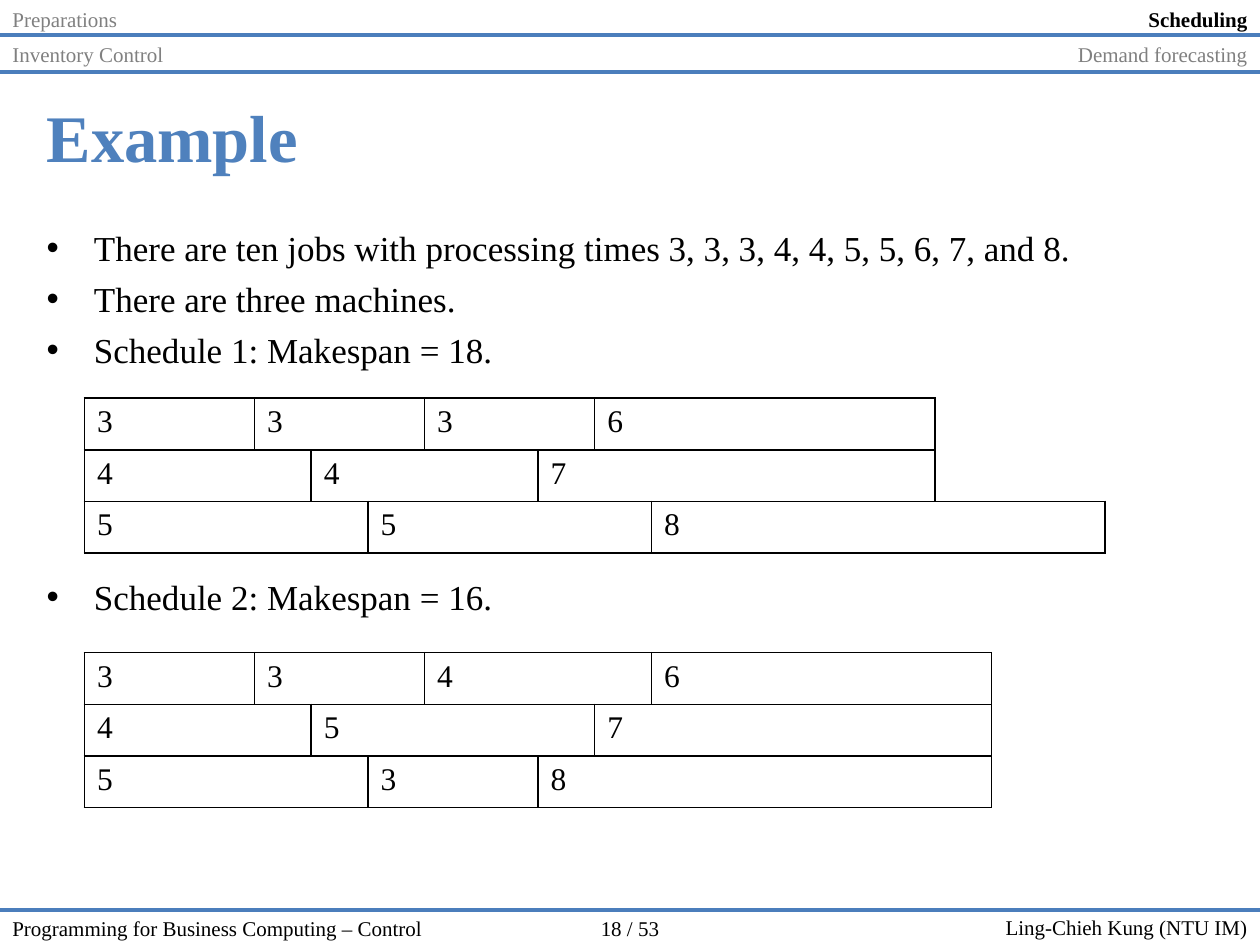
"""Build a slide that compares two machine schedules by makespan."""
from itertools import accumulate

from lxml.etree import SubElement
from pptx import Presentation
from pptx.dml.color import RGBColor
from pptx.enum.shapes import MSO_CONNECTOR
from pptx.enum.text import MSO_ANCHOR, MSO_AUTO_SIZE, PP_ALIGN
from pptx.oxml.ns import qn
from pptx.util import Inches, Pt

COLORS = {"text": "000000", "muted": "808080", "title": "4F81BD", "rule": "4B7EBC"}
NO_GRID_STYLE = "{2D5ABB26-0587-4C30-8999-92F81FD0307C}"
HORIZON = 20
UNIT = 0.45
ROW_HEIGHT = 0.41


class SlideBuilder:
    """Hold the style and the current slide, and add elements to it."""

    font = "Times New Roman"

    def __init__(self, prs):
        self.slide = prs.slides.add_slide(prs.slide_layouts[1])

    def add_text(self, p, text, color="text", size=12, bold=False, align=PP_ALIGN.LEFT):
        p.alignment = align
        r = p.add_run()
        r.text = text
        r.font.color.rgb = RGBColor.from_string(COLORS[color])
        for name, value in {"name": self.font, "size": Pt(size), "bold": bold}.items():
            setattr(r.font, name, value)

    def place(self, sp, box, anchor=MSO_ANCHOR.TOP):
        for name, value in zip(("left", "top", "width", "height"), box):
            setattr(sp, name, Inches(value))
        tf = sp.text_frame
        frame = {"word_wrap": True, "auto_size": MSO_AUTO_SIZE.NONE,
                 "vertical_anchor": anchor}
        for name, value in frame.items():
            setattr(tf, name, value)
        return tf

    def title(self, text, box):
        tf = self.place(self.slide.shapes.title, box, MSO_ANCHOR.MIDDLE)
        self.add_text(tf.paragraphs[0], text, "title", 38, True)

    def bullets(self, items, box):
        tf = self.place(self.slide.placeholders[1], box)
        for i, (text, space) in enumerate(items):
            p = tf.add_paragraph() if i else tf.paragraphs[0]
            p.space_before = Pt(space)
            self.add_text(p, text, size=20)

    def label(self, text, box, anchor=MSO_ANCHOR.TOP, **style):
        sp = self.slide.shapes.add_textbox(0, 0, 0, 0)
        self.add_text(self.place(sp, box, anchor).paragraphs[0], text, **style)

    def rule(self, y):
        line = self.slide.shapes.add_connector(
            MSO_CONNECTOR.STRAIGHT, 0, Inches(y), Inches(10), Inches(y))
        line.line.color.rgb = RGBColor.from_string(COLORS["rule"])
        line.line.width = Pt(2.25)
        SubElement(line._element.spPr, qn("a:effectLst"))

    def borders(self, cell, sides):
        tcPr = cell._tc.get_or_add_tcPr()
        for side in "LRTB":
            ln = SubElement(tcPr, qn(f"a:ln{side}"), w=str(Pt(1)))
            if side in sides:
                fill = SubElement(ln, qn("a:solidFill"))
                SubElement(fill, qn("a:srgbClr"), val=COLORS["text"])
            else:
                SubElement(ln, qn("a:noFill"))
        cell.fill.background()

    def schedule(self, machines, left, top):
        ends = [list(accumulate(jobs)) for jobs in machines]
        finish = [row[-1] for row in ends]
        cuts = sorted({0, *sum(ends, []), *range(min(finish), HORIZON + 1)})
        table = self.slide.shapes.add_table(
            len(machines), len(cuts) - 1, Inches(left), Inches(top),
            Inches(HORIZON * UNIT), Inches(len(machines) * ROW_HEIGHT)).table
        table._tbl.tblPr.find(qn("a:tableStyleId")).text = NO_GRID_STYLE
        table.first_row = table.horz_banding = False
        for column, start, end in zip(table.columns, cuts, cuts[1:]):
            column.width = Inches((end - start) * UNIT)
        for i, jobs in enumerate(machines):
            table.rows[i].height = Inches(ROW_HEIGHT)
            below = finish[i + 1] if i + 1 < len(finish) else 0
            for j, start in enumerate(cuts[:-1]):
                if start < finish[i]:
                    sides = "LRTB"
                else:
                    sides = ("L" if start == finish[i] else "") + ("B" if start < below else "")
                self.borders(table.cell(i, j), sides)
            for job, end in zip(jobs, ends[i]):
                first, last = cuts.index(end - job), cuts.index(end) - 1
                cell = table.cell(i, first)
                if last > first:
                    cell.merge(table.cell(i, last))
                self.add_text(cell.text_frame.paragraphs[0], str(job), size=18)


def main():
    prs = Presentation()
    prs.slide_width, prs.slide_height = Inches(10), Inches(7.5)
    s = SlideBuilder(prs)

    s.label("Ling-Chieh Kung (NTU IM)", (5.47, 7.22, 4.53, 0.28),
            MSO_ANCHOR.MIDDLE, align=PP_ALIGN.RIGHT)
    s.label("Programming for Business Computing – Control", (0, 7.22, 4.53, 0.28))
    s.label("18 / 53", (4.53, 7.22, 0.94, 0.28), align=PP_ALIGN.CENTER)
    for y in (0.28, 0.57, 7.22):
        s.rule(y)

    s.title("Example", (0.27, 0.6, 9.53, 0.95))
    s.bullets([
        ("There are ten jobs with processing times 3, 3, 3, 4, 4, 5, 5, 6, 7, and 8.", 5),
        ("There are three machines.", 5),
        ("Schedule 1: Makespan = 18.", 5),
        ("Schedule 2: Makespan = 16.", 117),
    ], (0.27, 1.75, 9.53, 5.39))

    s.schedule([(3, 3, 3, 6), (4, 4, 7), (5, 5, 8)], 0.67, 3.16)
    s.schedule([(3, 3, 4, 6), (4, 5, 7), (5, 3, 8)], 0.67, 5.18)

    sections = [("Preparations", "Scheduling"), ("Inventory Control", "Demand forecasting")]
    for i, names in enumerate(sections):
        for name, x, align in zip(names, (0, 6.65), (PP_ALIGN.LEFT, PP_ALIGN.RIGHT)):
            current = name == "Scheduling"
            s.label(name, (x, i * 0.28, 3.35, 0.28), align=align, bold=current,
                    color="text" if current else "muted")

    prs.save("out.pptx")


if __name__ == "__main__":
    main()
